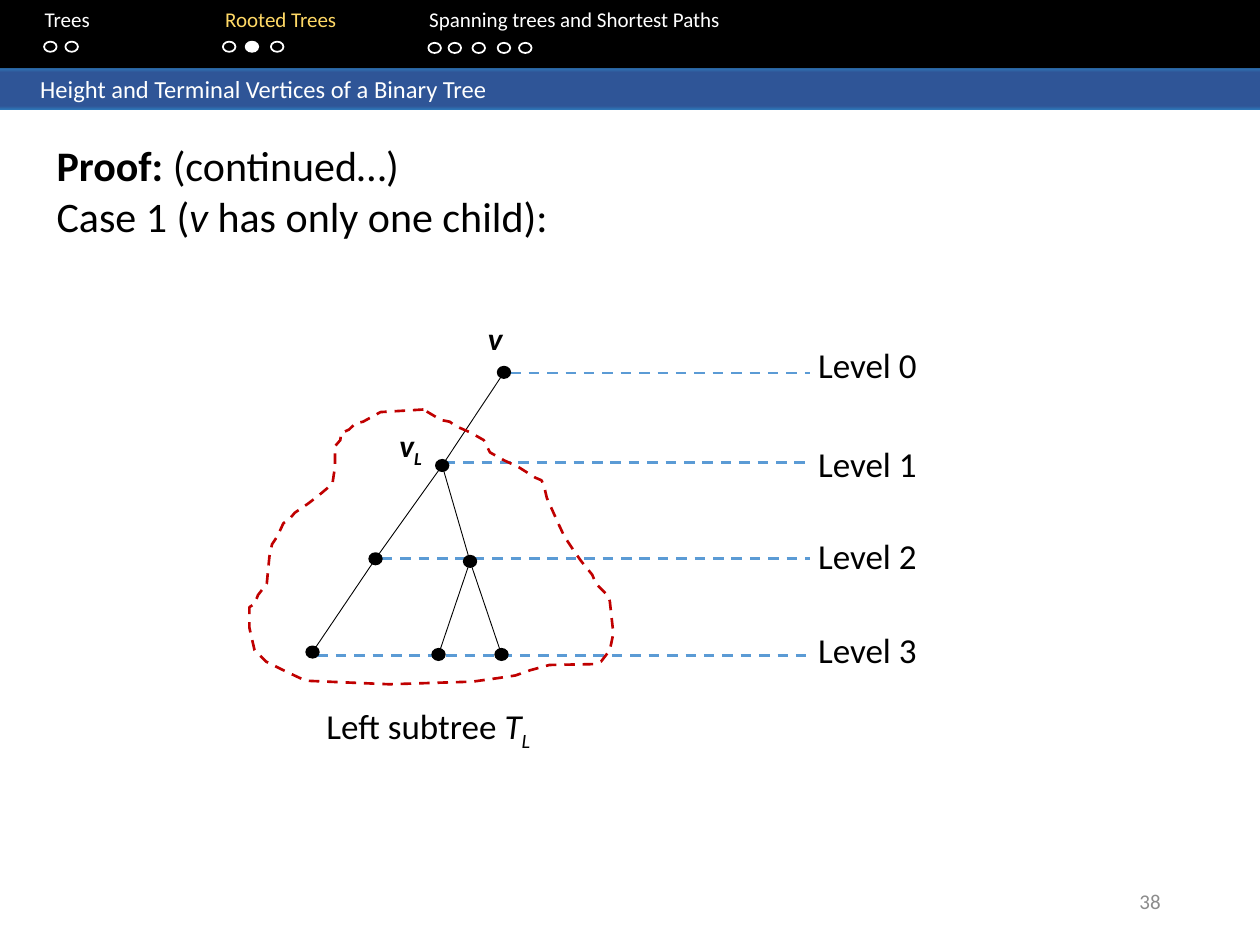
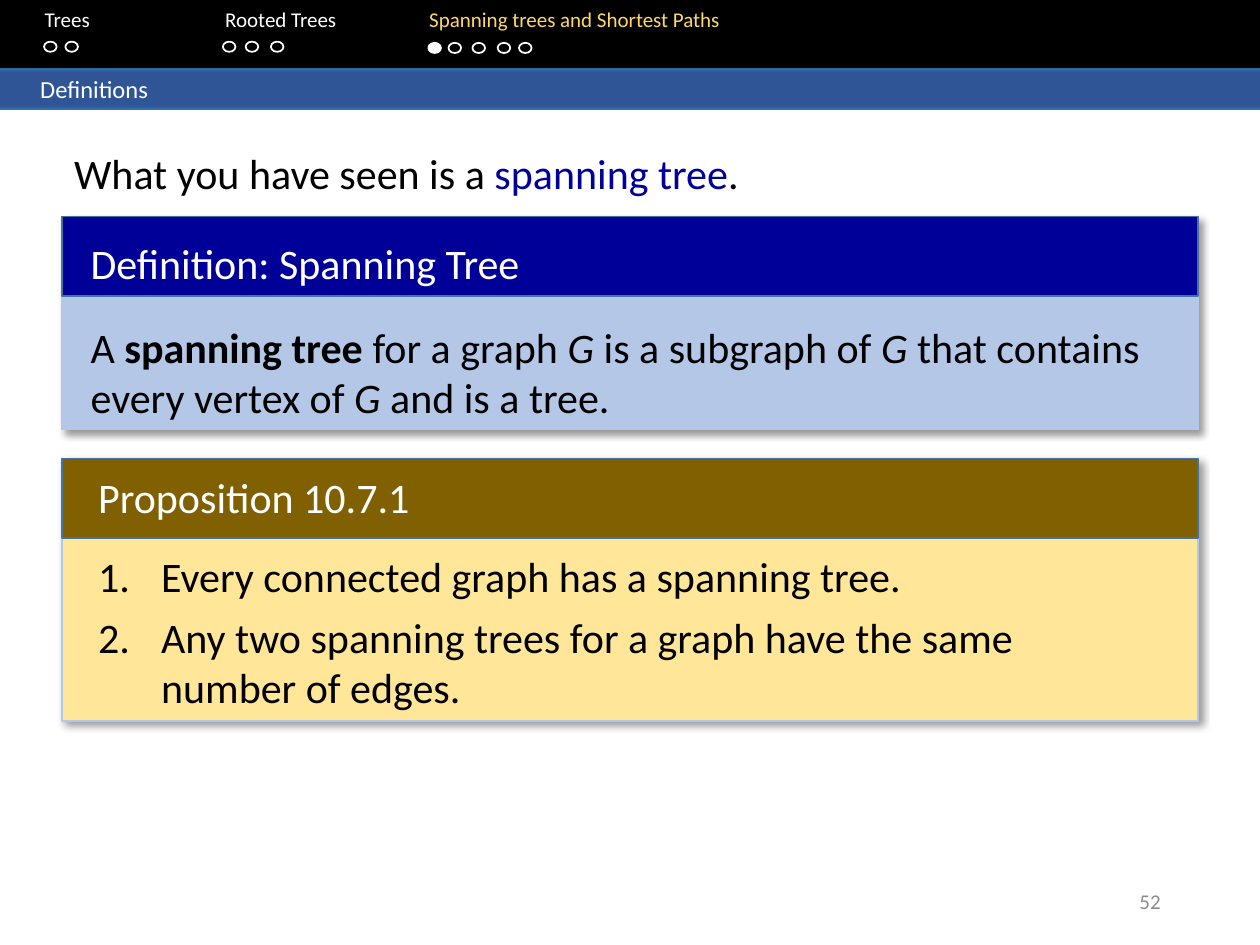
from lxml import etree
from pptx import Presentation
from pptx.dml.color import RGBColor
from pptx.enum.dml import MSO_LINE
from pptx.enum.shapes import MSO_CONNECTOR, MSO_SHAPE
from pptx.enum.text import MSO_ANCHOR, PP_ALIGN
from pptx.oxml.ns import qn
from pptx.util import Pt

LEFT, CENTER, RIGHT = PP_ALIGN.LEFT, PP_ALIGN.CENTER, PP_ALIGN.RIGHT
TOP, MIDDLE = MSO_ANCHOR.TOP, MSO_ANCHOR.MIDDLE
RECT, OVAL = MSO_SHAPE.RECTANGLE, MSO_SHAPE.OVAL
STRAIGHT, DASH = MSO_CONNECTOR.STRAIGHT, MSO_LINE.DASH

FONT = "Calibri"
COLORS = {
    "black": "000000", "white": "FFFFFF", "active": "FFD966",
    "band": "2F5597", "band_edge": "2E75B6", "page": "8C8C8C",
    "level": "5B9BD5", "subtree": "C00000", "navy": "000099",
    "pale_blue": "B4C7E7", "header_line": "43739E",
    "brown": "806000", "pale_gold": "FFE699",
}
WIDTH, HEIGHT = 720, 540

# Section name, left edge, top of its dots, left edges of its dots
SECTIONS = [
    ("Trees", 25.6, 23.8, [25.2, 37.4]),
    ("Rooted Trees", 128.7, 23.8, [127.4, 140.4, 154.8]),
    ("Spanning trees and Shortest Paths", 245.3, 24.5,
     [244.8, 256.3, 270, 284.4, 296.6]),
]

# Tree geometry, relative to the diagram box
NODES = {
    "v": (144, 32.8), "vL": (108.7, 86),
    "left": (70.6, 139.3), "right": (124.6, 140.8),
    "leaf1": (34.6, 192.6), "leaf2": (106.6, 194), "leaf3": (142.6, 194),
}
EDGES = [("v", "vL"), ("vL", "left"), ("vL", "right"),
         ("left", "leaf1"), ("right", "leaf2"), ("right", "leaf3")]
# Start of each level line, its height, top of its label
LEVELS = [(147.6, 33.1, 13), (110.2, 84.2, 69.1),
          (74.2, 139, 121.7), (37.4, 194.4, 175.7)]
SUBTREE_OUTLINE = [
    (98, 54), (73.5, 55.5), (63.5, 61), (59, 62), (55.5, 65.5), (51, 67.5),
    (50.5, 71.5), (47.5, 75), (47.5, 86.5), (46, 96.5), (39.5, 102),
    (32.5, 107.5), (24.5, 113), (21.5, 116.5), (18, 119), (14.5, 126.5),
    (11.5, 131), (10, 138), (8.5, 153.5), (3.5, 160), (1.5, 165),
    (-1.5, 167), (-1.5, 178.5), (1.5, 191.5), (8, 198), (18, 203),
    (27.5, 207.5), (31, 209), (78.5, 211), (126, 209.5), (140.5, 207.5),
    (150.5, 206), (159, 203), (170, 200), (195, 199.5), (199.5, 198),
    (204.5, 191.5), (206.5, 182), (204.5, 163.5), (203, 160),
    (196.5, 153.5), (194.5, 148.5), (188, 140.5), (183.5, 134),
    (178.5, 126.5), (175, 119), (168.5, 104.5), (167, 98), (165.5, 94.5),
    (162, 93), (152.5, 87), (144, 83), (136, 78.5), (132.5, 71.5),
    (124.5, 67), (116.5, 63.5), (113, 61), (108, 60),
]


def rgb(name):
    return RGBColor.from_string(COLORS[name])


def add_xml(parent, tag, **attributes):
    return etree.SubElement(parent, qn(tag), attributes)


def style_line(line, color, width, dash=None):
    line.color.rgb = rgb(color)
    line.width = Pt(width)
    if dash is not None:
        line.dash_style = dash


def add_block(slide, kind, box, fill=None, line=None):
    block = slide.shapes.add_shape(kind, *map(Pt, box))
    block.shadow.inherit = False
    if fill:
        block.fill.solid()
        block.fill.fore_color.rgb = rgb(fill)
    else:
        block.fill.background()
    if line:
        style_line(block.line, line, 1)
    else:
        block.line.fill.background()
    return block


def add_rule(slide, start, end, color, width, dash=None):
    rule = slide.shapes.add_connector(STRAIGHT, *map(Pt, (*start, *end)))
    style_line(rule.line, color, width, dash)
    add_xml(rule._element.spPr, "a:effectLst")


def fill_paragraph(paragraph, runs, size, color, align=LEFT, after=0):
    """Each run is (text, marks, own colour); marks: b bold, i italic, s subscript."""
    paragraph.alignment = align
    paragraph.space_after = Pt(after)
    for text, marks, own_color in runs:
        run = paragraph.add_run()
        run.text = text
        run.font.name, run.font.size = FONT, Pt(size)
        run.font.bold, run.font.italic = "b" in marks, "i" in marks
        run.font.color.rgb = rgb(own_color or color)
        if "s" in marks:
            run._r.get_or_add_rPr().set("baseline", "-25000")


def plain(text):
    return [(text, "", None)]


def add_text(slide, box, paragraphs, size, color="black", align=LEFT,
             after=0, anchor=TOP):
    frame = slide.shapes.add_textbox(*map(Pt, box)).text_frame
    frame.word_wrap = True
    frame.vertical_anchor = anchor
    for index, runs in enumerate(paragraphs):
        paragraph = frame.add_paragraph() if index else frame.paragraphs[0]
        fill_paragraph(paragraph, runs, size, color, align, after)
    return frame


def add_navigation(slide, box, active_section, active_dot):
    """Black bar with section names and progress dots."""
    left, top, width, height = box
    add_block(slide, RECT, (left, top - 1.4, width, height + 1.4), "black")
    names = []
    for index, (name, *_) in enumerate(SECTIONS):
        color = "active" if index == active_section else "white"
        names.append((("\t" if index else "") + name, "", color))
    frame = add_text(slide, (left, top, width, 36), [names], 12)
    first_left = SECTIONS[0][1]
    frame.margin_left = Pt(first_left)
    tabs = add_xml(frame.paragraphs[0]._p.get_or_add_pPr(), "a:tabLst")
    for _, name_left, *_ in SECTIONS[1:]:
        add_xml(tabs, "a:tab", pos=str(Pt(name_left - first_left)), algn="l")
    for section, (_, _, dot_top, dot_lefts) in enumerate(SECTIONS):
        for dot, dot_left in enumerate(dot_lefts):
            current = (section, dot) == (active_section, active_dot)
            add_block(slide, OVAL, (left + dot_left, top + dot_top, 7.2, 5.8),
                      "white" if current else None, "white")


def set_title(slide, box, text):
    """Title placeholder as a gradient band."""
    title = slide.shapes.title
    title.left, title.top, title.width, title.height = map(Pt, box)
    properties = title._element.spPr
    gradient = add_xml(properties, "a:gradFill", rotWithShape="1")
    stops = add_xml(gradient, "a:gsLst")
    for percent, color in [(0, "band_edge"), (11, "band"),
                           (91, "band"), (100, "band_edge")]:
        stop = add_xml(stops, "a:gs", pos=str(percent * 1000))
        add_xml(stop, "a:srgbClr", val=COLORS[color])
    add_xml(gradient, "a:lin", ang="5400000", scaled="0")
    frame = title.text_frame
    frame.word_wrap = True
    frame.vertical_anchor = MIDDLE
    frame.margin_left, frame.margin_top, frame.margin_bottom = Pt(23), 0, 0
    fill_paragraph(frame.paragraphs[0], plain(text), 14, "white")


def add_base_slide(deck, title, section, dot, page):
    slide = deck.slides.add_slide(deck.slide_layouts[5])
    add_navigation(slide, (0, 0, WIDTH, 38.9), section, dot)
    set_title(slide, (0, 38.9, WIDTH, 23.8), title)
    add_text(slide, (508.3, 500.4, 162, 28.8), [plain(page)], 12, "page",
             RIGHT, anchor=MIDDLE)
    return slide


def add_tree(slide, box):
    """Binary tree with level lines and the outlined left subtree."""
    left, top, width, _ = box

    def at(point):
        return left + point[0], top + point[1]

    # Levels
    for level, (start, line_top, label_top) in enumerate(LEVELS):
        add_rule(slide, at((start, line_top)), at((319, line_top)),
                 "level", 1.5, DASH)
        add_text(slide, (*at((width - 131.8, label_top)), 131.8, 31.7),
                 [plain(f"Level {level}")], 20, align=CENTER)
    # Edges and vertices
    for parent, child in EDGES:
        add_rule(slide, at(NODES[parent]), at(NODES[child]), "black", 0.5)
    for x, y in map(at, NODES.values()):
        add_block(slide, OVAL, (x - 3.6, y - 3.25, 7.2, 6.5), "black", "black")
    # Subtree outline
    outline = [tuple(map(Pt, at(point))) for point in SUBTREE_OUTLINE]
    builder = slide.shapes.build_freeform(*outline[0], scale=1.0)
    builder.add_line_segments(outline[1:], close=True)
    subtree = builder.convert_to_shape()
    subtree.shadow.inherit = False
    subtree.fill.background()
    style_line(subtree.line, "subtree", 1.5, DASH)
    # Vertex labels and caption
    root = ("v", "bi", None)
    add_text(slide, (*at((121, -1.4)), 36, 29.5), [[root]], 18, align=CENTER)
    add_text(slide, (*at((72.7, 59.8)), 36, 29.5),
             [[root, ("L", "bis", None)]], 18, align=CENTER)
    add_text(slide, (*at((15.8, 218.9)), 170, 31.7),
             [[("Left subtree ", "", None), ("T", "i", None),
               ("L", "is", None)]], 20, align=CENTER)


def add_card(slide, box, heading, statements, header_fill, body_fill,
             text_left, heading_top, body_top, text_width, numbered=False):
    """Shadowed panel: coloured heading over its statements."""
    left, top, width, _ = box
    panel = add_block(slide, RECT, box, body_fill, "pale_blue")
    effects = panel._element.spPr.find(qn("a:effectLst"))
    shadow = add_xml(effects, "a:outerShdw", blurRad=str(Pt(4)),
                     dist=str(Pt(3)), dir="2700000", algn="tl",
                     rotWithShape="0")
    shade = add_xml(shadow, "a:srgbClr", val=COLORS["black"])
    add_xml(shade, "a:alpha", val="40000")
    add_block(slide, RECT, (left, top, width, 45.4), header_fill, "header_line")
    add_text(slide, (left + text_left, top + heading_top, text_width, 36),
             [plain(heading)], 24, "white")
    body = add_text(slide, (left + text_left, top + body_top, text_width, 65.5),
                    statements, 24, after=6)
    if numbered:
        for paragraph in body.paragraphs:
            layout = paragraph._p.get_or_add_pPr()
            layout.set("marL", str(Pt(36)))
            layout.set("indent", str(-Pt(36)))
            add_xml(layout, "a:buFont", typeface=FONT)
            add_xml(layout, "a:buAutoNum", type="arabicPeriod")


def build_proof(deck):
    slide = add_base_slide(
        deck, "Height and Terminal Vertices of a Binary Tree", 1, 1, "38")
    add_text(slide, (25.2, 76.3, 654.5, 65.5), [
        [("Proof: ", "b", None), ("(continued…)", "", None)],
        [("Case 1 (", "", None), ("v", "i", None),
         (" has only one child):", "", None)],
    ], 24)
    add_tree(slide, (144, 180, 417.6, 250.6))


def build_definitions(deck):
    slide = add_base_slide(deck, "Definitions", 2, 0, "52")
    add_text(slide, (35.3, 80.6, 628.6, 36), [
        [("What you have seen is a ", "", None),
         ("spanning tree", "", "navy"), (".", "", None)]], 24, after=6)
    graph = ("G", "i", None)
    definition = [
        ("A ", "", None), ("spanning tree ", "b", None),
        ("for a graph ", "", None), graph,
        (" is a subgraph of ", "", None), graph,
        (" that contains every vertex of ", "", None), graph,
        (" and is a tree.", "", None)]
    add_card(slide, (35.3, 123.8, 649.4, 121.7), "Definition: Spanning Tree",
             [definition], "navy", "pale_blue", 9.4, 8.6, 56.2, 633.6)
    add_card(slide, (35.3, 262.1, 649.4, 149.8), "Proposition 10.7.1", [
        plain("Every connected graph has a spanning tree."),
        plain("Any two spanning trees for a graph have the same number of edges."),
    ], "brown", "pale_gold", 13.7, 3.6, 49, 614.9, numbered=True)


def main():
    deck = Presentation()
    deck.slide_width, deck.slide_height = Pt(WIDTH), Pt(HEIGHT)
    build_proof(deck)
    build_definitions(deck)
    deck.save("out.pptx")


if __name__ == "__main__":
    main()
